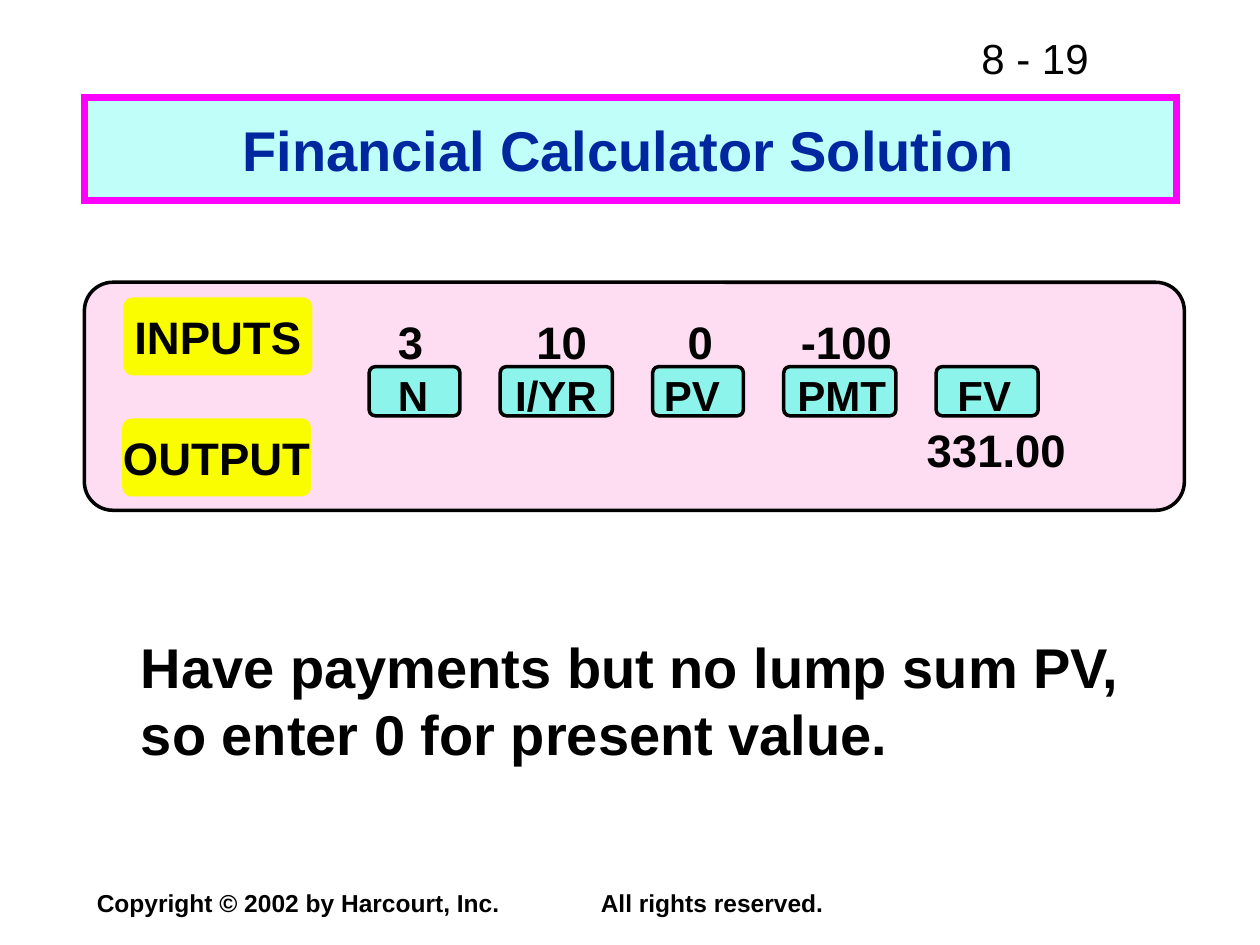
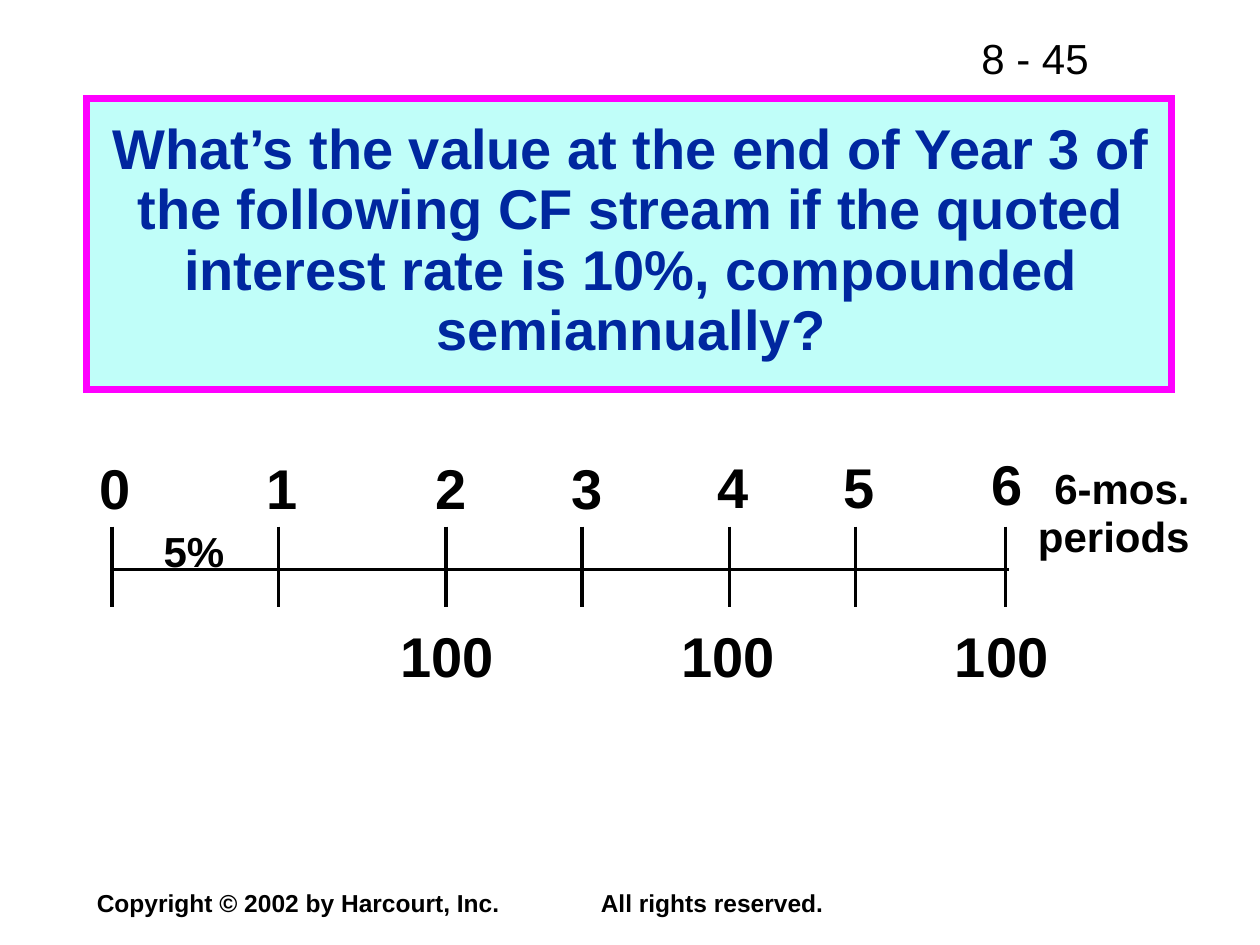
from dataclasses import dataclass

from lxml.etree import SubElement
from pptx import Presentation
from pptx.dml.color import RGBColor as Color
from pptx.enum.shapes import MSO_CONNECTOR as Connector
from pptx.enum.shapes import MSO_SHAPE as Shape
from pptx.enum.text import MSO_ANCHOR as Anchor
from pptx.enum.text import PP_ALIGN as Align
from pptx.oxml.ns import qn
from pptx.util import Inches, Pt


@dataclass(frozen=True)
class Theme:
    """Colours, font and type sizes shared by the slides."""

    font: str = "Arial"
    ink: str = "000000"
    title: str = "00279F"
    band: str = "C0FEF9"
    band_line: str = "FF00FF"
    panel: str = "FEDCF1"
    key: str = "8CF4EA"
    tag: str = "FAFD00"
    large: int = 32
    value: int = 26
    label: int = 24
    footer: int = 14
    outline: int = 2
    band_outline: int = 4


THEME = Theme()

CALCULATOR_KEYS = [
    ("N", 2.93, 0.72, 3.06, 0.5),
    ("I/YR", 3.97, 0.89, 3.99, 0.95),
    ("PV", 5.18, 0.72, 5.17, 0.75),
    ("PMT", 6.22, 0.89, 6.23, 1),
    ("FV", 7.43, 0.81, 7.5, 0.75),
]

PERIODS = [
    ("0", 0.89, 0.69, 3.55, None),
    ("1", 2.21, 2.02, 3.55, None),
    ("2", 3.54, 3.36, 3.55, 3.08),
    ("3", 4.62, 4.44, 3.55, None),
    ("4", 5.79, 5.6, 3.54, 5.31),
    ("5", 6.79, 6.6, 3.54, None),
    ("6", 7.98, 7.77, 3.52, 7.48),
]


def add_tabs(para, stops, kind):
    """Give a paragraph tab stops of one kind, in inches from its box inset."""
    tab_list = SubElement(para._p.get_or_add_pPr(), qn("a:tabLst"))
    for stop in stops:
        SubElement(tab_list, qn("a:tab"), pos=str(Inches(stop)), algn=kind)


def style_text(para, size, color=THEME.ink, bold=True, align=Align.LEFT, spacing=None):
    """Set the alignment, line spacing and font of a paragraph."""
    para.alignment, para.line_spacing = align, spacing
    font = para.font
    font.name, font.size, font.bold = THEME.font, Pt(size), bold
    font.color.rgb = Color.from_string(color)


def add_text(slide, lines, place, size, anchor=Anchor.TOP, tabs=(), **style):
    """Add a text box with one paragraph per line and return its paragraphs."""
    box = slide.shapes.add_textbox(*map(Inches, place))
    frame = box.text_frame
    frame.word_wrap, frame.vertical_anchor = True, anchor
    frame.text = "\n".join(lines)
    for para in frame.paragraphs:
        if tabs:
            add_tabs(para, tabs, "l")
        style_text(para, size, **style)
    return frame.paragraphs


def add_block(slide, kind, place, fill, line=None, width=THEME.outline):
    """Add a filled preset shape, outlined when a line colour is given."""
    block = slide.shapes.add_shape(kind, *map(Inches, place))
    block.shadow.inherit = False
    block.fill.solid()
    block.fill.fore_color.rgb = Color.from_string(fill)
    if kind == Shape.ROUNDED_RECTANGLE:
        block.adjustments[0] = 0.125
    if line:
        block.line.color.rgb = Color.from_string(line)
        block.line.width = Pt(width)
    else:
        block.line.fill.background()
    return block


def add_tag(slide, text, left, top):
    """Add a rounded row tag with centred text."""
    tag = add_block(slide, Shape.ROUNDED_RECTANGLE, (left, top, 1.5, 0.62), THEME.tag)
    frame = tag.text_frame
    frame.text = text
    frame.word_wrap, frame.vertical_anchor = False, Anchor.MIDDLE
    style_text(frame.paragraphs[0], THEME.value, align=Align.CENTER)


def add_line(slide, start, end):
    """Add a plain straight line between two points."""
    line = slide.shapes.add_connector(Connector.STRAIGHT, *map(Inches, start + end))
    line.line.color.rgb = Color.from_string(THEME.ink)
    line.line.width = Pt(THEME.outline)
    SubElement(line._element.spPr, qn("a:effectLst"))


def add_title(slide, text, band_place, text_place, spacing=None):
    """Add the square-cornered title band and its text."""
    band = add_block(slide, Shape.RECTANGLE, band_place, THEME.band,
                     THEME.band_line, THEME.band_outline)
    SubElement(band._element.spPr.find(qn("a:ln")), qn("a:miter"), lim="800000")
    add_text(slide, [text], text_place, THEME.large, anchor=Anchor.MIDDLE,
             color=THEME.title, align=Align.CENTER, spacing=spacing)


def add_page(deck, number):
    """Add a blank slide with its page number and copyright line."""
    slide = deck.slides.add_slide(deck.slide_layouts[6])
    add_text(slide, [f"8 - {number}"], (7.69, 0.21, 2.2, 0.5), THEME.label, bold=False)
    add_text(slide, ["Copyright © 2002 by Harcourt, Inc.\tAll rights reserved."],
             (0.67, 7, 8.67, 0.33), THEME.footer, anchor=Anchor.MIDDLE, tabs=[4])
    return slide


def add_calculator(slide):
    """Add the calculator panel with its keys, values and row tags."""
    add_block(slide, Shape.ROUNDED_RECTANGLE, (0.67, 2.24, 8.73, 1.81),
              THEME.panel, THEME.ink)
    inputs, output = add_text(slide, ["\t3\t10\t0\t-100", "\t331.00"],
                              (1.06, 2.44, 8.26, 1.4), THEME.value)
    add_tabs(inputs, [2.1, 3.3, 4.4, 5.56], "ctr")
    add_tabs(output, [6.75], "ctr")
    output.space_before = Pt(31)
    for label, left, width, label_left, label_width in CALCULATOR_KEYS:
        add_block(slide, Shape.ROUNDED_RECTANGLE, (left, 2.91, width, 0.39),
                  THEME.key, THEME.ink)
        add_text(slide, [label], (label_left, 2.88, label_width, 0.5), THEME.label)
    add_tag(slide, "INPUTS", 0.98, 2.36)
    add_tag(slide, "OUTPUT", 0.97, 3.32)


def add_timeline(slide):
    """Add the cash flow time line with its ticks, periods and payments."""
    add_line(slide, (0.89, 4.52), (8.01, 4.52))
    for period, tick, label_left, label_top, payment_left in PERIODS:
        add_line(slide, (tick, 4.18), (tick, 4.82))
        add_text(slide, [period], (label_left, label_top, 0.5, 0.63), THEME.large)
        if payment_left:
            add_text(slide, ["100"], (payment_left, 4.88, 1.05, 0.63), THEME.large)
    add_text(slide, ["5%"], (1.2, 4.12, 0.8, 0.5), THEME.label)
    add_text(slide, ["6-mos.", "periods"], (8.04, 3.65, 1.5, 0.87),
             THEME.label, align=Align.RIGHT, spacing=0.95)


def main():
    """Build and save the two slides."""
    deck = Presentation()
    deck.slide_width, deck.slide_height = Inches(10), Inches(7.5)

    solution = add_page(deck, 19)
    add_calculator(solution)
    add_title(solution, "Financial Calculator Solution",
              (0.67, 0.77, 8.67, 0.82), (0.72, 0.87, 8.54, 0.63))
    add_text(solution, ["Have payments but no lump sum PV, so enter 0 for present value."],
             (1.02, 4.97, 8.2, 1.16), THEME.large)

    question = add_page(deck, 45)
    add_title(question,
              "What’s the value at the end of Year 3 of the following CF stream "
              "if the quoted interest rate is 10%, compounded semiannually?",
              (0.69, 0.78, 8.61, 2.31), (0.76, 0.83, 8.5, 2.18), 0.9)
    add_timeline(question)

    deck.save("out.pptx")


if __name__ == "__main__":
    main()
